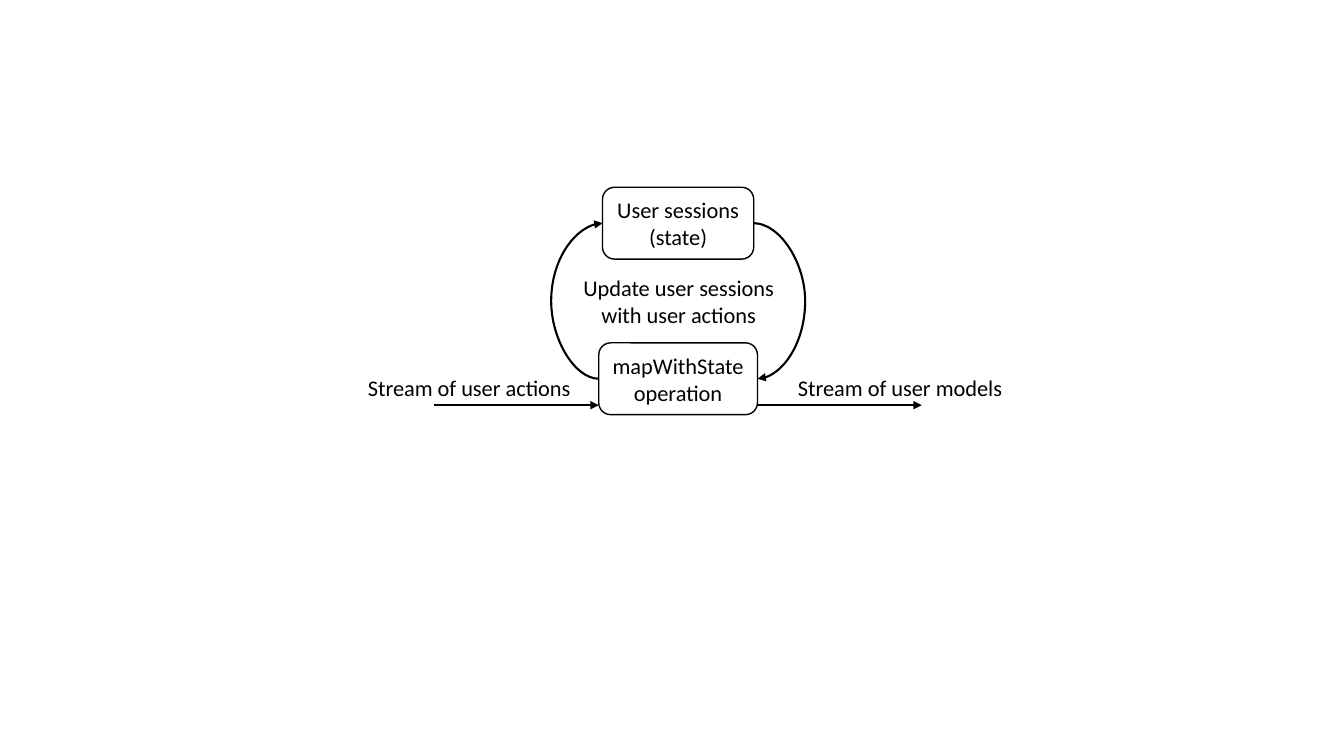
from dataclasses import dataclass

from lxml.etree import SubElement
from pptx import Presentation
from pptx.dml.color import RGBColor
from pptx.enum.shapes import MSO_CONNECTOR, MSO_SHAPE
from pptx.enum.text import MSO_ANCHOR, MSO_AUTO_SIZE, PP_ALIGN
from pptx.oxml.ns import qn
from pptx.util import Cm, Pt

# Content
STATE = "User sessions (state)"
OPERATION = "mapWithState operation"
UPDATE_NOTE = ["Update user sessions", "with user actions"]
INPUT_STREAM = ["Stream of user actions"]
OUTPUT_STREAM = ["Stream of user models"]


@dataclass(frozen=True)
class Theme:
    ink: RGBColor = RGBColor(0, 0, 0)
    paper: RGBColor = RGBColor(255, 255, 255)
    font: str = "Calibri"
    size: Pt = Pt(16)
    outline: Pt = Pt(1)
    arrow: Pt = Pt(1.5)


THEME = Theme()

# Layout, in centimetres
CENTRE = 17.09
BOX_HEIGHT = 1.81
STATE_TOP, STATE_WIDTH = 4.72, 3.81
OPERATION_TOP, OPERATION_WIDTH = 8.64, 4.0
STREAM_Y, STREAM_LENGTH = 10.21, 4.14
LABEL_TOP, LABEL_HEIGHT = 9.3, 0.94
LOOP_REACH = 3.2  # from the centre line to the bulge of each curve

deck = Presentation()
deck.slide_width, deck.slide_height = Cm(33.87), Cm(19.05)
page = deck.slides.add_slide(deck.slide_layouts[6])


def write(shape, lines, align):
    shape.text_frame.text = "\n".join(lines)
    for para in shape.text_frame.paragraphs:
        para.alignment = align
        for span in para.runs:
            span.font.name = THEME.font
            span.font.size = THEME.size
            span.font.color.rgb = THEME.ink


def add_box(text, top, width):
    box = page.shapes.add_shape(
        MSO_SHAPE.ROUNDED_RECTANGLE,
        Cm(CENTRE - width / 2), Cm(top), Cm(width), Cm(BOX_HEIGHT))
    box.shadow.inherit = False
    box.fill.solid()
    box.fill.fore_color.rgb = THEME.paper
    box.line.color.rgb = THEME.ink
    box.line.width = THEME.outline
    box.text_frame.vertical_anchor = MSO_ANCHOR.MIDDLE
    write(box, [text], PP_ALIGN.CENTER)
    return box


def add_label(lines, left, top, width, height, align=PP_ALIGN.LEFT):
    label = page.shapes.add_textbox(Cm(left), Cm(top), Cm(width), Cm(height))
    label.text_frame.word_wrap = False
    label.text_frame.auto_size = MSO_AUTO_SIZE.SHAPE_TO_FIT_TEXT
    write(label, lines, align)


def add_arrow(kind, *ends):
    arrow = page.shapes.add_connector(kind, *ends)
    arrow.line.color.rgb = THEME.ink
    arrow.line.width = THEME.arrow
    SubElement(arrow.line._get_or_add_ln(), qn("a:tailEnd"), type="triangle")
    SubElement(arrow._element.spPr, qn("a:effectLst"))
    return arrow


def add_loop(source, target, site, bulge):
    """Curve from one side of a box to the same side of another."""
    arrow = add_arrow(MSO_CONNECTOR.CURVE, 0, 0, 0, 0)
    arrow.begin_connect(source, site)
    arrow.end_connect(target, site)
    share = (Cm(bulge) - arrow.begin_x) / (arrow.end_x - arrow.begin_x)
    guides = arrow._element.spPr.find(qn("a:prstGeom")).get_or_add_avLst()
    SubElement(guides, qn("a:gd"), name="adj1", fmla=f"val {round(share * 100000)}")


# State and operation boxes with the note between them
state = add_box(STATE, STATE_TOP, STATE_WIDTH)
operation = add_box(OPERATION, OPERATION_TOP, OPERATION_WIDTH)
add_label(UPDATE_NOTE, 14.35, 6.78, 5.51, 1.62, PP_ALIGN.CENTER)

# Update loop
add_loop(state, operation, 3, CENTRE + LOOP_REACH)
add_loop(operation, state, 1, CENTRE - LOOP_REACH)

# Streams in and out of the operation
input_end = CENTRE - OPERATION_WIDTH / 2
output_start = CENTRE + OPERATION_WIDTH / 2
for start in (input_end - STREAM_LENGTH, output_start):
    add_arrow(MSO_CONNECTOR.STRAIGHT, Cm(start), Cm(STREAM_Y),
              Cm(start + STREAM_LENGTH), Cm(STREAM_Y))
add_label(INPUT_STREAM, 9.02, LABEL_TOP, 5.69, LABEL_HEIGHT)
add_label(OUTPUT_STREAM, 19.86, LABEL_TOP, 5.74, LABEL_HEIGHT)

deck.save("out.pptx")
